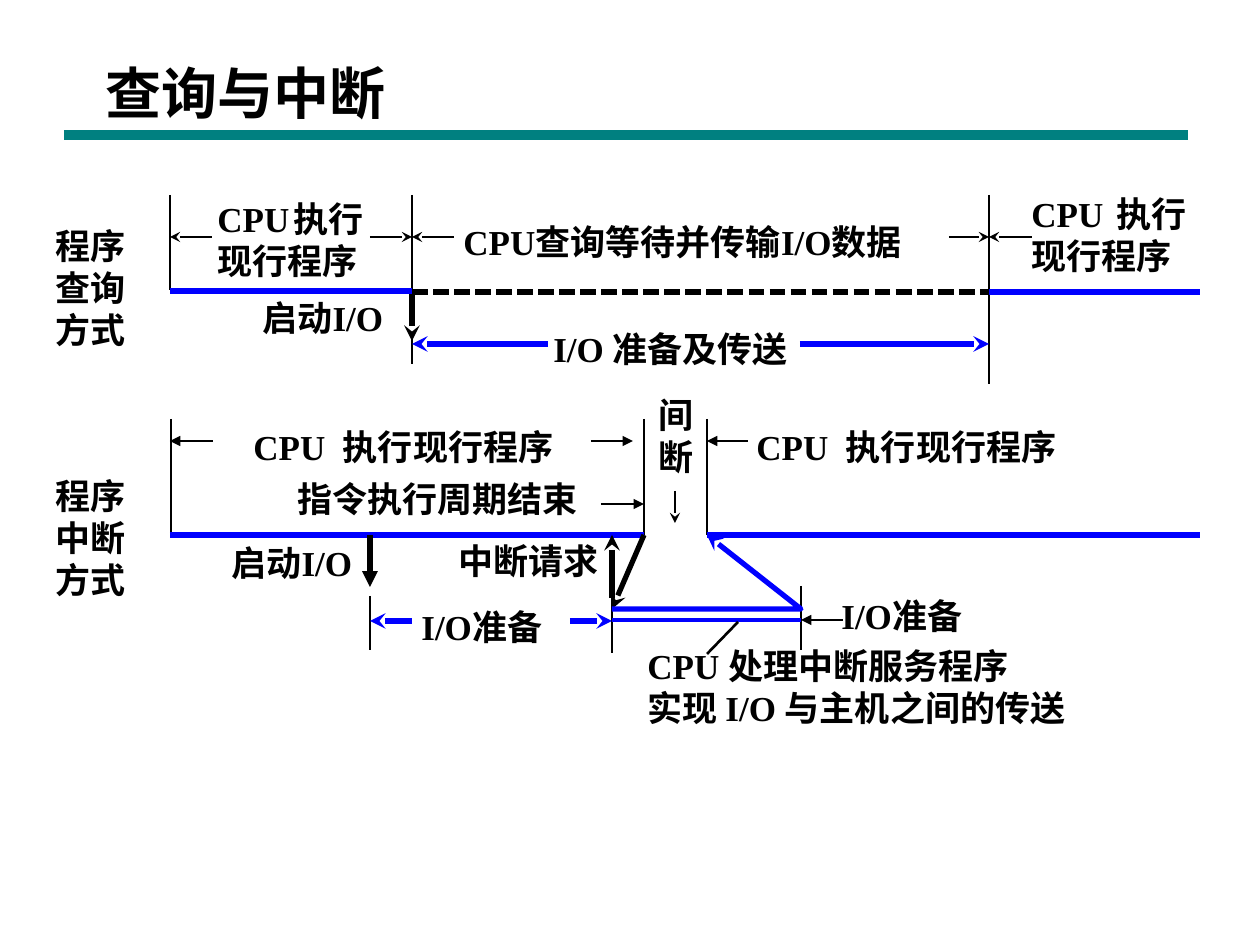
import typing

import pptx
import pptx.dml.color
import pptx.enum.dml
import pptx.enum.shapes
import pptx.enum.text
import pptx.oxml
import pptx.oxml.ns
import pptx.util

PX = 914400 / 126  # EMU in one px
FONT = "Times New Roman"
BLACK = pptx.dml.color.RGBColor(0x00, 0x00, 0x00)
BLUE = pptx.dml.color.RGBColor(0x00, 0x00, 0xFF)
TEAL = pptx.dml.color.RGBColor(0x00, 0x80, 0x80)
THIN, BOLD = 1.5, 3
SMALL = "~"  # stands for a narrow space in a label

# Shared places on the time axes
START, END = 170, 1200
WAIT, READY = 412, 989                    # polling: wait begins, wait ends
BEGIN, ASK, BREAK, RESUME, DONE = 370, 612, 644, 707, 801  # interrupt
POLL, MAIN = 291, 535                     # heights of the two axes


class Line(typing.NamedTuple):
    x1: int
    y1: int
    x2: int
    y2: int
    width: float = THIN
    color: pptx.dml.color.RGBColor = BLACK
    tip: str = ""
    dashed: bool = False


class Label(typing.NamedTuple):
    left: int
    top: int
    width: int
    lines: tuple[str, ...]


POLL_LINES = [
    # Time marks
    Line(START, 195, START, 290),
    Line(WAIT, 195, WAIT, 290),
    Line(READY, 195, READY, 384),
    Line(WAIT, 334, WAIT, 364),
    # Span arrows
    *(Line(x1, 237, x2, 237, tip="stealth") for x1, x2 in (
        (212, START), (370, WAIT), (454, WAIT), (949, READY), (1032, READY))),
    # Axis and start of I/O
    Line(WAIT, 290, WAIT, 341, BOLD, tip="stealth"),
    Line(WAIT, POLL + 1, READY, POLL + 1, BOLD, dashed=True),
    Line(START, POLL, WAIT, POLL, BOLD, BLUE),
    Line(READY, POLL + 1, END, POLL + 1, BOLD, BLUE),
    # I/O span
    Line(800, 344, READY, 344, BOLD, BLUE, "stealth"),
    Line(548, 344, WAIT, 344, BOLD, BLUE, "stealth"),
]

BREAK_LINES = [
    # Time marks
    *(Line(x, 419, x, MAIN) for x in (START + 1, BREAK, RESUME)),
    Line(BEGIN, 596, BEGIN, 650),
    Line(ASK, 598, ASK, 653),
    Line(DONE, 586, DONE, 650),
    # Axis
    Line(START, MAIN, BREAK, MAIN, BOLD, BLUE),
    Line(RESUME, MAIN, END, MAIN, BOLD, BLUE),
    # Span arrows
    *(Line(x1, y, x2, y, tip="triangle") for x1, x2, y in (
        (213, START, 441), (591, 633, 441), (748, RESUME, 441),
        (601, BREAK, 504), (843, DONE, 620))),
    Line(675, 491, 675, 523, tip="stealth"),
    # Start, request and jump to the service routine
    Line(BEGIN, MAIN, BEGIN, 587, BOLD, tip="triangle"),
    Line(ASK, 598, ASK, MAIN, BOLD, tip="stealth"),
    Line(BREAK, MAIN, ASK, 609, BOLD, tip="stealth"),
    # I/O span and service span
    Line(412, 621, BEGIN, 621, BOLD, BLUE, "stealth"),
    Line(570, 621, ASK, 621, BOLD, BLUE, "stealth"),
    Line(ASK, 620, DONE, 620, 2.25, BLUE),
    Line(738, 622, RESUME, 654),
]

# Service routine and return to the main program
RETURN = [(ASK, 609), (DONE, 609), (RESUME, MAIN)]

LABELS = [
    Label(43, 218, 100, ("程序", "查询", "方式")),
    Label(205, 191, 180, ("CPU~执行", "现行程序")),
    Label(451, 214, 495, ("CPU查询等待并传输I/O数据",)),
    Label(1019, 186, 190, ("CPU ~执行", "现行程序")),
    Label(250, 290, 160, ("启动I/O",)),
    Label(541, 321, 275, ("I/O 准备及传送",)),
    Label(43, 468, 100, ("程序", "中断", "方式")),
    Label(241, 419, 340, ("CPU  执行现行程序",)),
    Label(744, 419, 340, ("CPU  执行现行程序",)),
    Label(646, 387, 65, ("间", "断")),
    Label(285, 471, 310, ("指令执行周期结束",)),
    Label(219, 535, 160, ("启动I/O",)),
    Label(446, 533, 170, ("中断请求",)),
    Label(409, 599, 160, ("I/O准备",)),
    Label(829, 588, 160, ("I/O准备",)),
    Label(635, 638, 465, ("CPU 处理中断服务程序", "实现 I/O 与主机之间的传送")),
]


def emu(px: int) -> int:
    return round(px * PX)


def set_font(run, size: float) -> None:
    run.font.name = FONT
    run.font.size = pptx.util.Pt(size)
    run.font.bold = True
    run.font.color.rgb = BLACK


def set_line(shape, width: float, color, tip: str) -> None:
    """Set the stroke and tip, and turn the shadow off."""
    shape.line.width = pptx.util.Pt(width)
    shape.line.color.rgb = color
    props = shape._element.spPr
    space = pptx.oxml.ns.nsdecls("a")
    if tip:
        props.get_or_add_ln().append(
            pptx.oxml.parse_xml(f'<a:tailEnd {space} type="{tip}"/>'))
    props.append(pptx.oxml.parse_xml(f"<a:effectLst {space}/>"))


def draw_line(slide, line: Line) -> None:
    shape = slide.shapes.add_connector(
        pptx.enum.shapes.MSO_CONNECTOR.STRAIGHT,
        emu(line.x1), emu(line.y1), emu(line.x2), emu(line.y2))
    if line.dashed:
        shape.line.dash_style = pptx.enum.dml.MSO_LINE.SQUARE_DOT
    set_line(shape, line.width, line.color, line.tip)


def draw_path(slide, points: list[tuple[int, int]]) -> None:
    build = slide.shapes.build_freeform(*points[0], scale=PX)
    build.add_line_segments(points[1:], close=False)
    shape = build.convert_to_shape()
    shape.fill.background()
    set_line(shape, BOLD, BLUE, "stealth")


def draw_label(slide, label: Label) -> None:
    height = 13 + 42 * len(label.lines)
    box = slide.shapes.add_textbox(
        emu(label.left), emu(label.top), emu(label.width), emu(height))
    frame = box.text_frame
    frame.word_wrap = True
    frame.auto_size = pptx.enum.text.MSO_AUTO_SIZE.NONE
    frame.text = "\n".join(text.replace(SMALL, "") for text in label.lines)
    for par, text in zip(frame.paragraphs, label.lines):
        if SMALL in text:
            head, rest = text.split(SMALL)
            par.text = head
            par.add_run().text = " "
            par.add_run().text = rest
        for run in par.runs:
            set_font(run, 9 if run.text == " " else 20)


def draw_title(slide) -> None:
    title = slide.shapes.title
    title.left, title.top = emu(93), emu(52)
    title.width, title.height = emu(320), emu(81)
    frame = title.text_frame
    frame.text = "查询与中断"
    frame.word_wrap = True
    frame.auto_size = pptx.enum.text.MSO_AUTO_SIZE.NONE
    frame.vertical_anchor = pptx.enum.text.MSO_ANCHOR.TOP
    frame.paragraphs[0].alignment = pptx.enum.text.PP_ALIGN.LEFT
    set_font(frame.paragraphs[0].runs[0], 32)


def main() -> None:
    deck = pptx.Presentation()
    deck.slide_width = pptx.util.Inches(10)
    deck.slide_height = pptx.util.Inches(7.5)
    slide = deck.slides.add_slide(deck.slide_layouts[5])

    # Title and its rule
    draw_title(slide)
    draw_line(slide, Line(64, 135, 1188, 135, 6, TEAL))

    # Two timing charts
    for line in POLL_LINES + BREAK_LINES:
        draw_line(slide, line)
    draw_path(slide, RETURN)

    # Labels
    for label in LABELS:
        draw_label(slide, label)

    deck.save("out.pptx")


if __name__ == "__main__":
    main()
